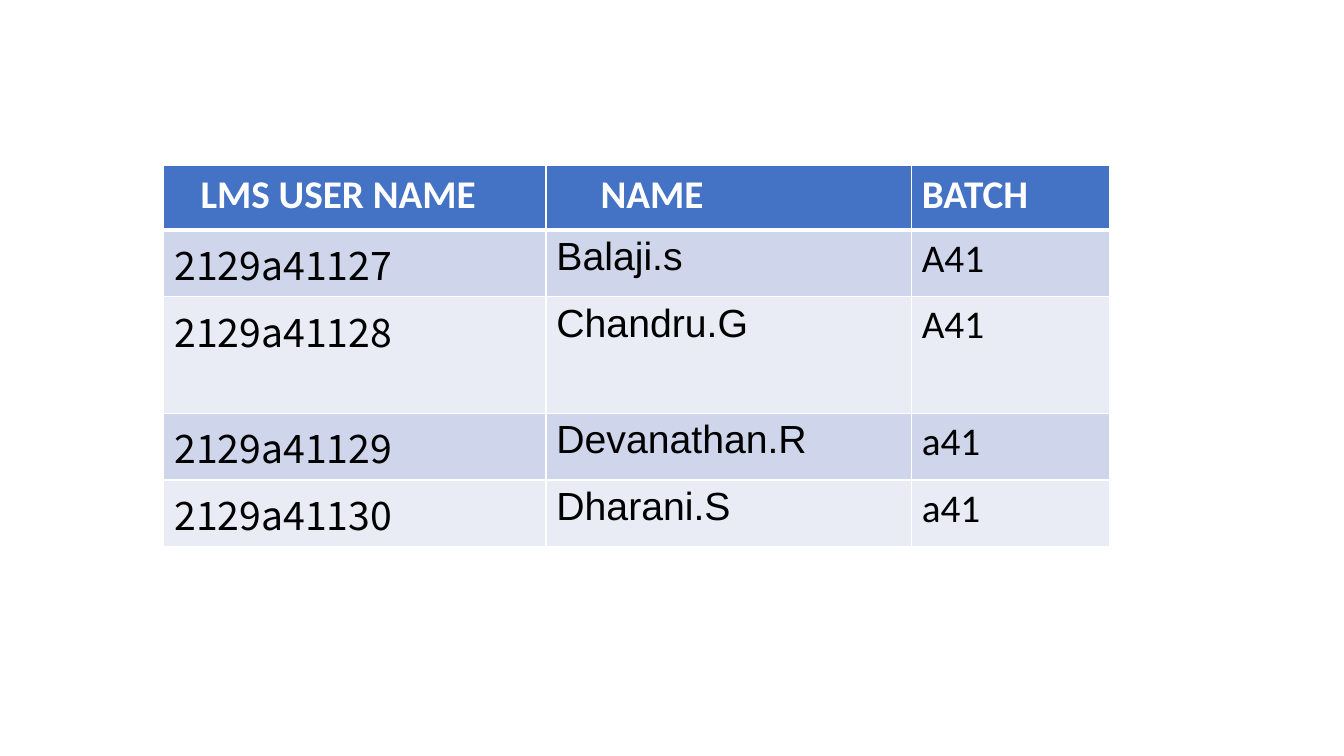
import dataclasses

import lxml.etree
import pptx
import pptx.dml.color
import pptx.enum.text
import pptx.oxml.ns
import pptx.util

EMU_PER_PX = 9525


@dataclasses.dataclass(frozen=True)
class Theme:
    header_fill: str = "4472C4"
    band_fills: tuple = ("CFD5EA", "E9EBF5")
    header_text: str = "FFFFFF"
    body_text: str = "000000"
    border: str = "FFFFFF"
    header_font: str = "Calibri"
    column_fonts: tuple = ("Noto Sans CJK SC", "Arial", "Calibri")
    text_size: int = 28


THEME = Theme()

HEADERS = ("LMS USER NAME", "NAME", "BATCH")
STUDENTS = (
    ("2129a41127", "Balaji.s", "A41"),
    ("2129a41128", "Chandru.G", "A41"),
    ("2129a41129", "Devanathan.R", "a41"),
    ("2129a41130", "Dharani.S", "a41"),
)
COLUMN_WIDTHS = (364, 348, 189)
ROW_HEIGHTS = (61, 61, 111, 61, 61)
HEADER_MARGINS = (35, 52, 10)
CELL_MARGIN = 10


def px(length):
    return pptx.util.Emu(length * EMU_PER_PX)


def color(value):
    return pptx.dml.color.RGBColor.from_string(value)


def set_borders(cell, bottom_width):
    """Draw all four cell edges, the bottom one at its own width in points."""
    properties = cell._tc.get_or_add_tcPr()
    widths = {"lnL": 1, "lnR": 1, "lnT": 1, "lnB": bottom_width}
    for position, (edge, width) in enumerate(widths.items()):
        line = lxml.etree.Element(pptx.oxml.ns.qn(f"a:{edge}"), w=str(pptx.util.Pt(width)))
        fill = lxml.etree.SubElement(line, pptx.oxml.ns.qn("a:solidFill"))
        lxml.etree.SubElement(fill, pptx.oxml.ns.qn("a:srgbClr"), val=THEME.border)
        properties.insert(position, line)


def style_cell(cell, text, fill, font_name, text_color, bold, margin):
    cell.text = text
    cell.margin_left = px(margin)
    cell.vertical_anchor = pptx.enum.text.MSO_ANCHOR.TOP
    cell.fill.solid()
    cell.fill.fore_color.rgb = color(fill)
    font = cell.text_frame.paragraphs[0].font
    font.name = font_name
    font.size = pptx.util.Pt(THEME.text_size)
    font.bold = bold
    font.color.rgb = color(text_color)
    set_borders(cell, bottom_width=3 if bold else 1)


def add_student_table(slide, left, top):
    frame = slide.shapes.add_table(
        len(ROW_HEIGHTS), len(COLUMN_WIDTHS), px(left), px(top),
        px(sum(COLUMN_WIDTHS)), px(sum(ROW_HEIGHTS)))
    table = frame.table
    for column, width in zip(table.columns, COLUMN_WIDTHS):
        column.width = px(width)
    for row, height in zip(table.rows, ROW_HEIGHTS):
        row.height = px(height)

    # Header row
    for index, text in enumerate(HEADERS):
        style_cell(table.cell(0, index), text, THEME.header_fill, THEME.header_font,
                   THEME.header_text, True, HEADER_MARGINS[index])

    # Banded student rows
    for row_index, student in enumerate(STUDENTS):
        band = THEME.band_fills[row_index % 2]
        for index, text in enumerate(student):
            style_cell(table.cell(row_index + 1, index), text, band,
                       THEME.column_fonts[index], THEME.body_text, False, CELL_MARGIN)


def main():
    presentation = pptx.Presentation()
    presentation.slide_width = px(1280)
    presentation.slide_height = px(720)
    slide = presentation.slides.add_slide(presentation.slide_layouts[6])
    add_student_table(slide, left=156, top=158)
    presentation.save("out.pptx")


if __name__ == "__main__":
    main()
